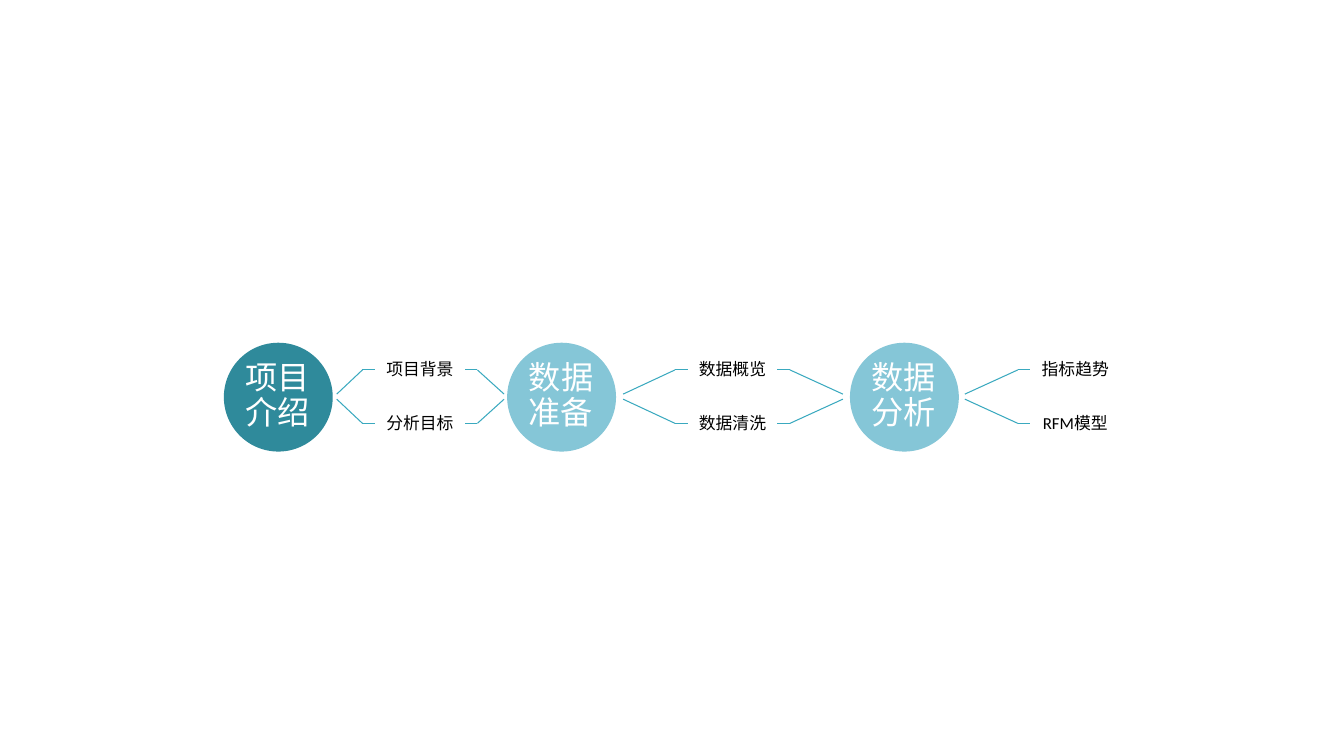
from pptx import Presentation
from pptx.dml.color import RGBColor
from pptx.enum.shapes import MSO_CONNECTOR, MSO_SHAPE
from pptx.enum.text import MSO_ANCHOR, PP_ALIGN
from pptx.oxml.ns import qn
from pptx.util import Inches, Pt
from lxml import etree

OVAL = MSO_SHAPE.OVAL
LINE = MSO_CONNECTOR.STRAIGHT
MIDDLE = MSO_ANCHOR.MIDDLE
CENTER = PP_ALIGN.CENTER

DARK, LIGHT = "2F8A9B", "85C6D7"
TOP, SIZE = 3.4, 1.08
INSET, INNER = 0.155, 0.76
LABEL_W, LABEL_H = 0.89, 0.54
STUB = 0.125

# title, fill, circle left, fan start, label left, fan end, labels
STAGES = [
    ("项目介绍", DARK, 2.22, 3.34, 3.72, 5.0, ("项目背景", "分析目标")),
    ("数据准备", LIGHT, 5.03, 6.18, 6.82, 8.36, ("数据概览", "数据清洗")),
    ("数据分析", LIGHT, 8.43, 9.57, 10.22, None, ("指标趋势", "RFM模型")),
]
# label top, height of the stub, height of the fan tip
ROWS = [(TOP, 3.67, 3.91), (TOP + LABEL_H, 4.2, 3.96)]


def rgb(code):
    return RGBColor.from_string(code)


class Board:
    font = "Calibri"
    stroke = "3AA9BF"
    weight = 0.75

    def __init__(self, slide):
        self.shapes = slide.shapes

    def circle(self, x, y, size, fill):
        disc = self.shapes.add_shape(
            OVAL, Inches(x), Inches(y), Inches(size), Inches(size))
        disc.shadow.inherit = False
        disc.fill.solid()
        disc.fill.fore_color.rgb = rgb(fill)
        disc.line.fill.background()

    def text(self, words, x, y, w, h, size=12, color="000000", pad=0.09):
        box = self.shapes.add_textbox(
            Inches(x), Inches(y), Inches(w), Inches(h))
        frame = box.text_frame
        frame.word_wrap = True
        frame.vertical_anchor = MIDDLE
        frame.margin_left = frame.margin_right = Inches(pad)
        frame.margin_top = frame.margin_bottom = Inches(pad)
        para = frame.paragraphs[0]
        para.alignment = CENTER
        para.line_spacing = 0.9
        run = para.add_run()
        run.text = words
        run.font.name = self.font
        run.font.size = Pt(size)
        run.font.color.rgb = rgb(color)

    def line(self, x1, y1, x2, y2):
        link = self.shapes.add_connector(
            LINE, Inches(x1), Inches(y1), Inches(x2), Inches(y2))
        link.line.color.rgb = rgb(self.stroke)
        link.line.width = Pt(self.weight)
        etree.SubElement(link._element.spPr, qn("a:effectLst"))

    def arm(self, tip, bend, end, low, high):
        """Draw a slanted line from the fan tip, then a flat stub."""
        self.line(tip, low, bend, high)
        self.line(bend, high, end, high)

    def stage(self, title, fill, left, start, label, end, names):
        """Draw a circle with its two labels and the fans around them."""
        self.circle(left, TOP, SIZE, fill)
        self.text(title, left + INSET, TOP + INSET, INNER, INNER,
                  size=23, color="FFFFFF", pad=0)
        right = label + LABEL_W
        for name, (top, high, low) in zip(names, ROWS):
            self.arm(start, label - STUB, label, low, high)
            self.text(name, label, top, LABEL_W, LABEL_H)
            if end:
                self.arm(end, right + STUB, right, low, high)


def main():
    deck = Presentation()
    deck.slide_width = Inches(13.33)
    deck.slide_height = Inches(7.5)
    board = Board(deck.slides.add_slide(deck.slide_layouts[6]))
    for stage in STAGES:
        board.stage(*stage)
    deck.save("out.pptx")


if __name__ == "__main__":
    main()
